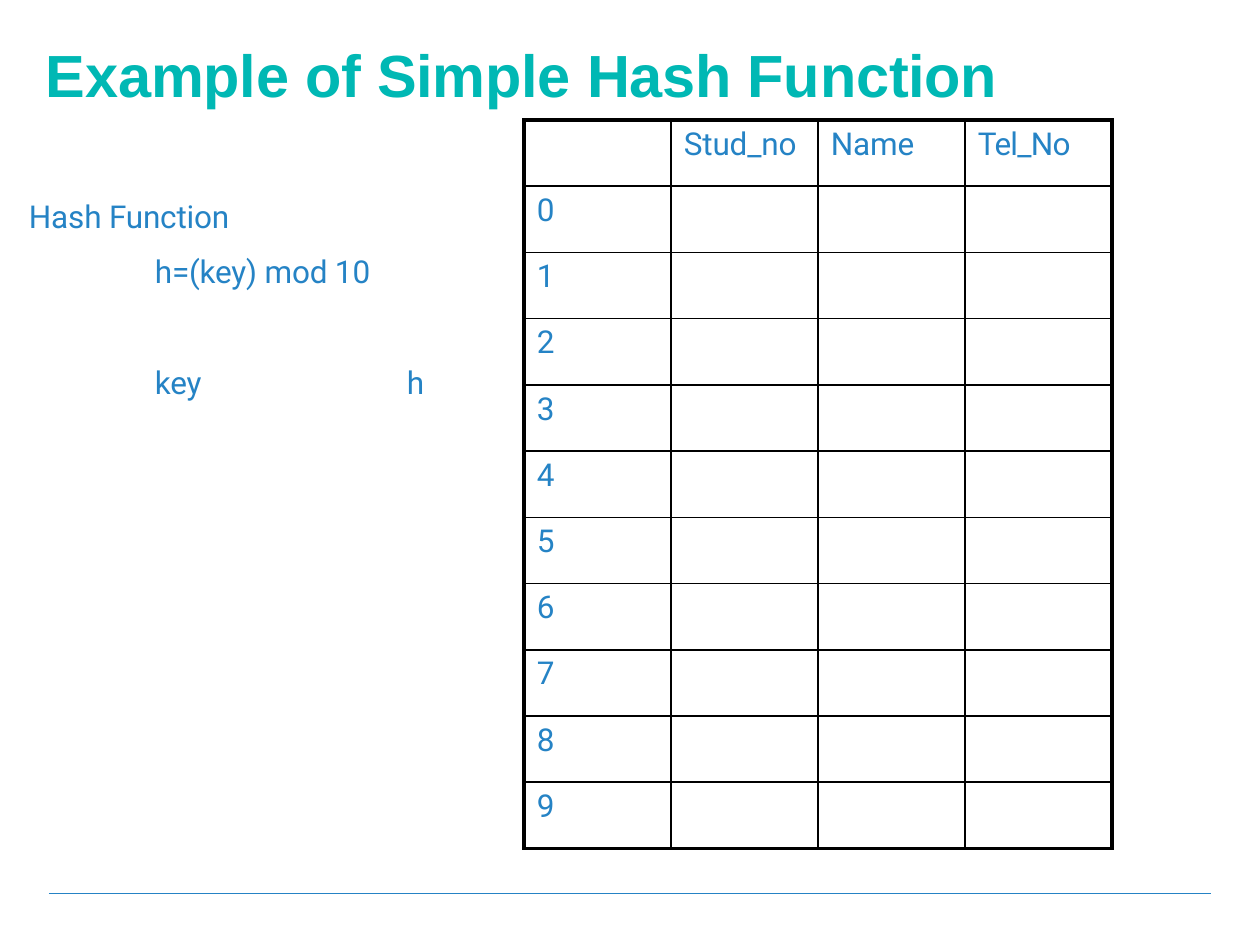
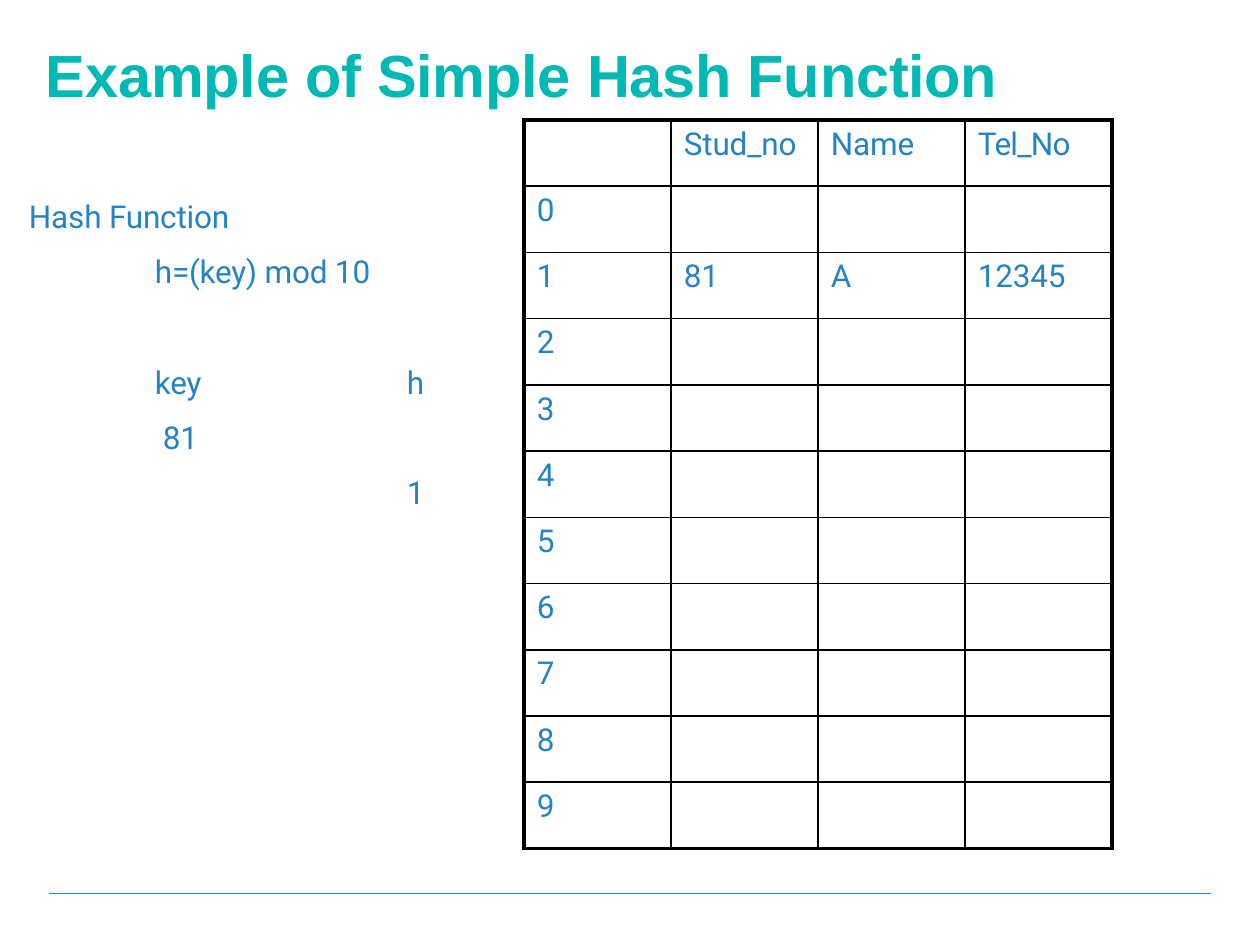
import pptx
import pptx.dml.color
import pptx.enum.shapes
import pptx.oxml.ns
import pptx.util
from lxml import etree

PX = 914400 / 126
COLORS = {"title": "00B8B4", "text": "2583C5", "border": "000000"}
HEADERS = ["", "Stud_no", "Name", "Tel_No"]
BUCKETS = 10


def px(n):
    return pptx.util.Emu(round(n * PX))


def rgb(name):
    return pptx.dml.color.RGBColor.from_string(COLORS[name])


def style_paragraph(p, text, size=18, font="Roboto", color="text", bold=False,
                    indent=1, before=0, line=None, tracking=-10):
    p.text = text
    p.font.size = pptx.util.Pt(size)
    p.font.name = font
    p.font.bold = bold
    p.font.color.rgb = rgb(color)
    p.space_before = pptx.util.Pt(before)
    if line:
        p.line_spacing = line
    p._p.get_or_add_pPr().set("marL", str(px(indent)))
    for r in p.runs:
        r._r.get_or_add_rPr().set("spc", str(tracking))


def add_text(slide, box, paragraphs, top_inset=1):
    """Each paragraph is a (text, style) pair."""
    tf = slide.shapes.add_textbox(*map(px, box)).text_frame
    tf.word_wrap = True
    tf.margin_left = tf.margin_right = tf.margin_bottom = 0
    tf.margin_top = px(top_inset)
    for i, (text, style) in enumerate(paragraphs):
        p = tf.add_paragraph() if i else tf.paragraphs[0]
        style_paragraph(p, text, **style)


def add_frame(slide, title):
    # Footer rule
    x, y, w = 49, 893, 1162
    rule = slide.shapes.add_connector(
        pptx.enum.shapes.MSO_CONNECTOR.STRAIGHT, px(x), px(y), px(x + w), px(y))
    rule.line.color.rgb = rgb("text")
    rule.line.width = pptx.util.Pt(0.25)
    etree.SubElement(rule._element.spPr, pptx.oxml.ns.qn("a:effectLst"))

    # Title
    add_text(slide, (45, 37, 961, 74), [
        (title, dict(size=34, font="Arial", color="title", bold=True, before=0.9))])


def add_hash_function(slide, box, key=None):
    x, y, w, h = box
    add_text(slide, (x, y, w, h), [
        ("Hash Function", dict(before=11.1)),
        ("h=(key) mod 10", dict(indent=127, before=10.1))], top_inset=19)

    # Key and hash columns
    keys, hashes = [("key", dict(before=1))], [("h", dict(before=1))]
    top, height = y + 184, 42
    if key is not None:
        top, height = y + 166, h
        keys.append((str(key), dict(indent=9)))
        hashes.append((str(key % BUCKETS), dict(before=31)))
        for _, style in keys + hashes:
            style["line"] = 1.47
    add_text(slide, (x + 126, top, 53, height), keys)
    add_text(slide, (x + 378, top, 21, height), hashes)


def set_borders(cell, widths):
    tcPr = cell._tc.get_or_add_tcPr()
    for side in "LRTB":
        ln = etree.SubElement(tcPr, pptx.oxml.ns.qn(f"a:ln{side}"),
                              w=str(pptx.util.Pt(widths[side])))
        fill = etree.SubElement(ln, pptx.oxml.ns.qn("a:solidFill"))
        etree.SubElement(fill, pptx.oxml.ns.qn("a:srgbClr"), val=COLORS["border"])


def add_hash_table(slide, box, records):
    """Records maps a bucket number to its three field values."""
    x, y, w, h = box
    rows = [HEADERS] + [[str(b), *records.get(b, [""] * 3)] for b in range(BUCKETS)]
    n_rows, n_cols = len(rows), len(HEADERS)
    table = slide.shapes.add_table(n_rows, n_cols, *map(px, box)).table
    table.first_row = table.horz_banding = False
    for col in table.columns:
        col.width = px(w // n_cols)
    for i, values in enumerate(rows):
        table.rows[i].height = px(h * (i + 1) / n_rows) - px(h * i / n_rows)
        for j, value in enumerate(values):
            cell = table.cell(i, j)
            cell.margin_left = cell.margin_right = cell.margin_bottom = 0
            cell.margin_top = px(6)
            outer = {"L": j == 0, "R": j == n_cols - 1,
                     "T": i == 0, "B": i == n_rows - 1}
            set_borders(cell, {s: 2.25 if edge else 1 for s, edge in outer.items()})
            cell.fill.background()
            style_paragraph(cell.text_frame.paragraphs[0], value, indent=13,
                            before=3.5, tracking=-40 if value == "Tel_No" else -10)


def add_hash_slide(prs, key=None, records=None):
    slide = prs.slides.add_slide(prs.slide_layouts[6])
    add_frame(slide, "Example of Simple Hash Function")
    add_hash_function(slide, (28, 178, 349, 115), key)
    add_hash_table(slide, (524, 120, 588, 729), records or {})


def main():
    prs = pptx.Presentation()
    prs.slide_width, prs.slide_height = px(1260), px(945)
    add_hash_slide(prs)
    add_hash_slide(prs, key=81, records={1: ["81", "A", "12345"]})
    prs.save("out.pptx")


if __name__ == "__main__":
    main()
